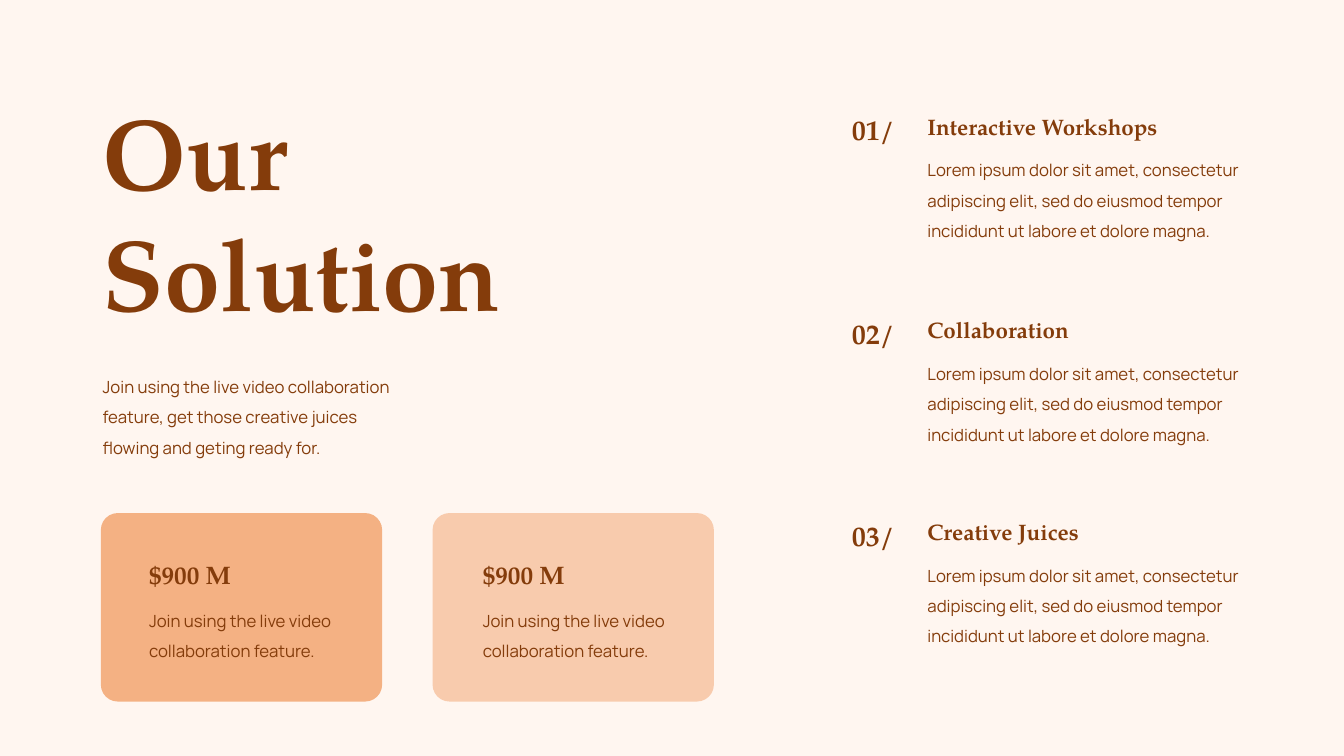
from pptx import Presentation
from pptx.dml.color import RGBColor
from pptx.enum import shapes, text
from pptx.util import Inches, Pt

COLORS = {"background": "FFF6F0", "text": "843C0B", "dark card": "F4B183", "light card": "F8CBAD"}
HEADING_FONT = "TeX Gyre Pagella"
BODY_FONT = "Manrope"


def write(shape, content, size, heading=True, wrap=True):
    frame = shape.text_frame
    frame.text = content
    frame.word_wrap = wrap
    frame.auto_size = text.MSO_AUTO_SIZE.SHAPE_TO_FIT_TEXT
    frame.vertical_anchor = text.MSO_ANCHOR.TOP
    for paragraph in frame.paragraphs:
        paragraph.alignment = text.PP_ALIGN.LEFT
        paragraph.line_spacing = 1.0 if heading else 1.5
        for run in paragraph.runs:
            run.font.name = HEADING_FONT if heading else BODY_FONT
            run.font.size = Pt(size)
            run.font.bold = heading
            run.font.color.rgb = RGBColor.from_string(COLORS["text"])


def add_text(left, top, width, height, content, size, heading=True, wrap=True):
    box = slide.shapes.add_textbox(Inches(left), Inches(top), Inches(width), Inches(height))
    write(box, content, size, heading, wrap)


presentation = Presentation()
presentation.slide_width = Inches(13.33)
presentation.slide_height = Inches(7.5)
slide = presentation.slides.add_slide(presentation.slide_layouts[5])
slide.background.fill.solid()
slide.background.fill.fore_color.rgb = RGBColor.from_string(COLORS["background"])

title = slide.shapes.title
title.left, title.top = Inches(0.92), Inches(0.84)
title.width, title.height = Inches(5.1), Inches(2.52)
write(title, "Our Solution", 72)

add_text(0.92, 3.59, 3.2, 0.97,
         "Join using the live video collaboration feature, "
         "get those creative juices flowing and geting ready for.", 12, heading=False)

solutions = [
    ("01/", "Interactive Workshops", 1.07),
    ("02/", "Collaboration", 3.09),
    ("03/", "Creative Juices", 5.09),
]
description = ("Lorem ipsum dolor sit amet, consectetur adipiscing elit, "
               "sed do eiusmod tempor incididunt ut labore et dolore magna.")
for number, heading, top in solutions:
    add_text(9.1, top + 0.37, 3.38, 0.97, description, 12, heading=False)
    add_text(9.1, top, 2.9, 0.37, heading, 16)
    add_text(8.35, top, 0.73, 0.44, number, 20, wrap=False)

cards = [(1, 1.38, "dark card"), (4.29, 4.69, "light card")]
for left, text_left, color in cards:
    card = slide.shapes.add_shape(shapes.MSO_SHAPE.ROUNDED_RECTANGLE,
                                  Inches(left), Inches(5.09), Inches(2.79), Inches(1.87))
    card.adjustments[0] = 0.09
    card.shadow.inherit = False
    card.fill.solid()
    card.fill.fore_color.rgb = RGBColor.from_string(COLORS[color])
    card.line.fill.background()
    add_text(text_left, 5.5, 1.33, 0.4, "$900 M", 18)
    add_text(text_left, 5.91, 2.06, 0.67,
             "Join using the live video\ncollaboration feature.", 12, heading=False)

presentation.save("out.pptx")
